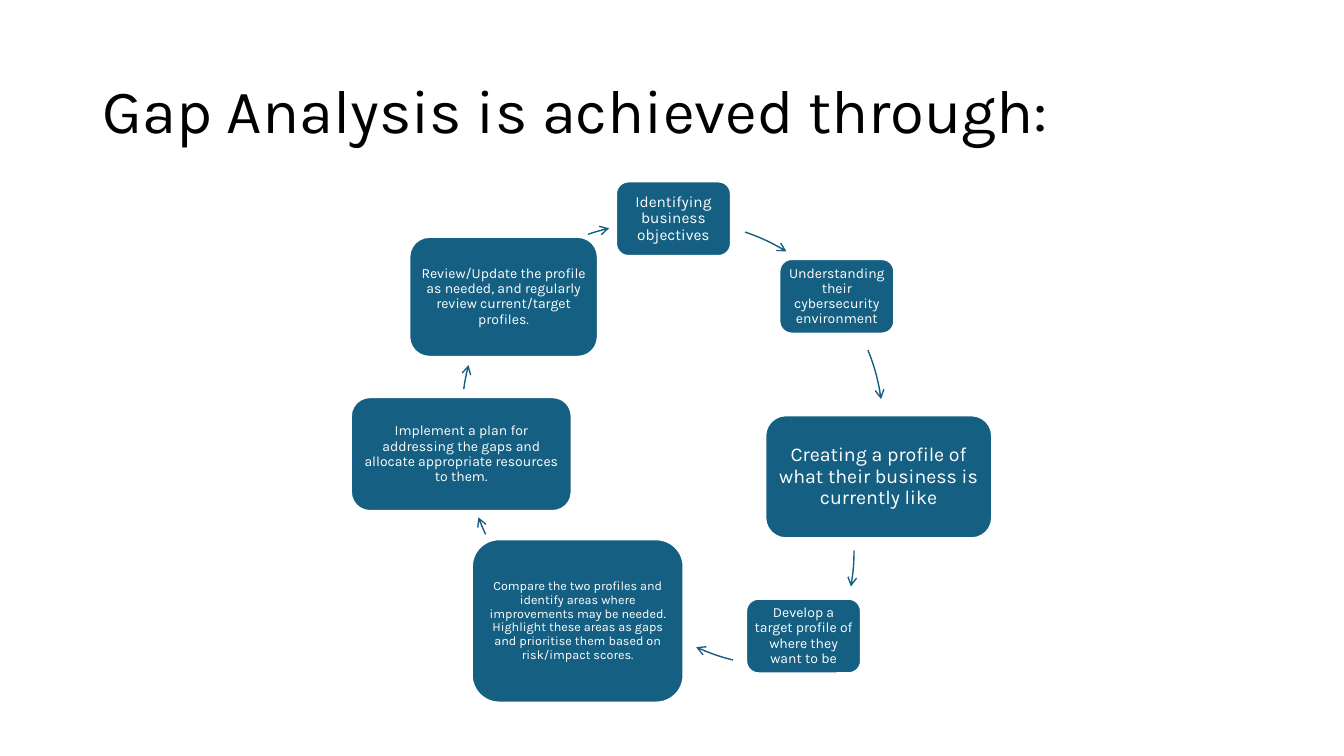
from lxml import etree
from pptx import Presentation
from pptx.dml.color import RGBColor
from pptx.enum.shapes import MSO_SHAPE
from pptx.enum.text import MSO_ANCHOR, PP_ALIGN
from pptx.oxml.ns import qn
from pptx.util import Inches, Pt

ROUNDED = MSO_SHAPE.ROUNDED_RECTANGLE
ARC = MSO_SHAPE.ARC
MIDDLE = MSO_ANCHOR.MIDDLE
CENTER = PP_ALIGN.CENTER

TEAL = RGBColor(0x15, 0x60, 0x82)
WHITE = RGBColor(0xFF, 0xFF, 0xFF)
BLACK = RGBColor(0x00, 0x00, 0x00)
FONT = "Karla"
CIRCLE_SIZE = 4.22
ADJUSTMENT_PER_DEGREE = 0.6

# Each step: text, font size, (left, top, width, height)
STEPS = [
    ("Identifying business objectives", 11, (6.11, 1.8, 1.14, 0.74)),
    ("Understanding their cybersecurity environment", 10, (7.73, 2.57, 1.14, 0.74)),
    ("Creating a profile of what their business is currently like", 14,
     (7.59, 4.12, 2.25, 1.22)),
    ("Develop a target profile of where they want to be", 10, (7.4, 5.94, 1.14, 0.74)),
    ("Compare the two profiles and identify areas where improvements may be needed. "
     "Highlight these areas as gaps and prioritise them based on risk/impact scores.", 9,
     (4.68, 5.35, 2.1, 1.62)),
    ("Implement a plan for addressing the gaps and allocate appropriate resources to them.",
     10, (3.48, 3.94, 2.19, 1.13)),
    ("Review/Update the profile as needed, and regularly review current/target profiles.",
     10, (4.06, 2.35, 1.87, 1.19)),
]

# Arrow after each step: circle left, circle top, start and end angle in degrees
ARROWS = [
    (4.6, 2.19, 288.8, 301.1),
    (4.54, 2.15, 338.1, 351.8),
    (4.25, 3.35, 0, 9.8),
    (5.67, 2.39, 104, 114.5),
    (4.61, 2.28, 154.4, 159.4),
    (4.58, 2.04, 187.9, 194.5),
    (4.41, 2.21, 251, 256.9),
]


def write_text(frame, text, size, color):
    frame.word_wrap = True
    frame.vertical_anchor = MIDDLE
    paragraph = frame.paragraphs[0]
    paragraph.text = text
    paragraph.line_spacing = 0.9
    paragraph.font.name = FONT
    paragraph.font.size = Pt(size)
    paragraph.font.color.rgb = color
    return paragraph


presentation = Presentation()
presentation.slide_width = Inches(13.33)
presentation.slide_height = Inches(7.5)
slide = presentation.slides.add_slide(presentation.slide_layouts[6])

title = slide.shapes.add_textbox(Inches(0.92), Inches(0.4), Inches(11.5), Inches(1.45))
write_text(title.text_frame, "Gap Analysis is achieved through:", 44, BLACK)

for (text, size, bounds), (left, top, start, end) in zip(STEPS, ARROWS):
    step = slide.shapes.add_shape(ROUNDED, *map(Inches, bounds))
    step.shadow.inherit = False
    step.fill.solid()
    step.fill.fore_color.rgb = TEAL
    step.line.color.rgb = WHITE
    step.line.width = Pt(1.5)
    frame = step.text_frame
    inset = Inches(size / 240)
    frame.margin_left = frame.margin_right = inset
    frame.margin_top = frame.margin_bottom = inset
    write_text(frame, text, size, WHITE).alignment = CENTER

    arrow = slide.shapes.add_shape(
        ARC, Inches(left), Inches(top), Inches(CIRCLE_SIZE), Inches(CIRCLE_SIZE))
    arrow.adjustments[0] = start * ADJUSTMENT_PER_DEGREE
    arrow.adjustments[1] = end * ADJUSTMENT_PER_DEGREE
    arrow.shadow.inherit = False
    arrow.fill.background()
    arrow.line.color.rgb = TEAL
    arrow.line.width = Pt(1)
    line_properties = arrow.line._get_or_add_ln()
    etree.SubElement(line_properties, qn("a:tailEnd"), type="arrow")

presentation.save("out.pptx")
